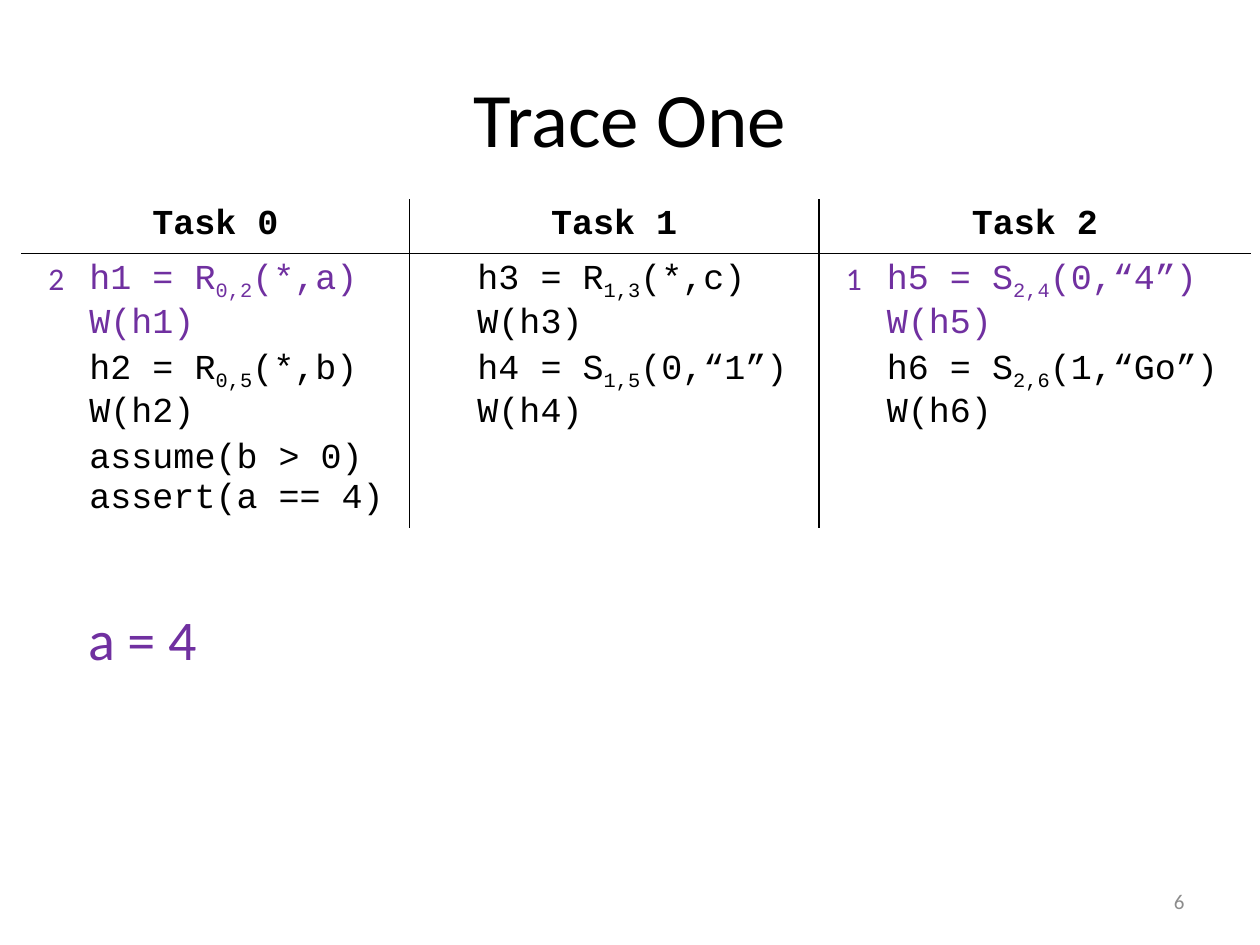
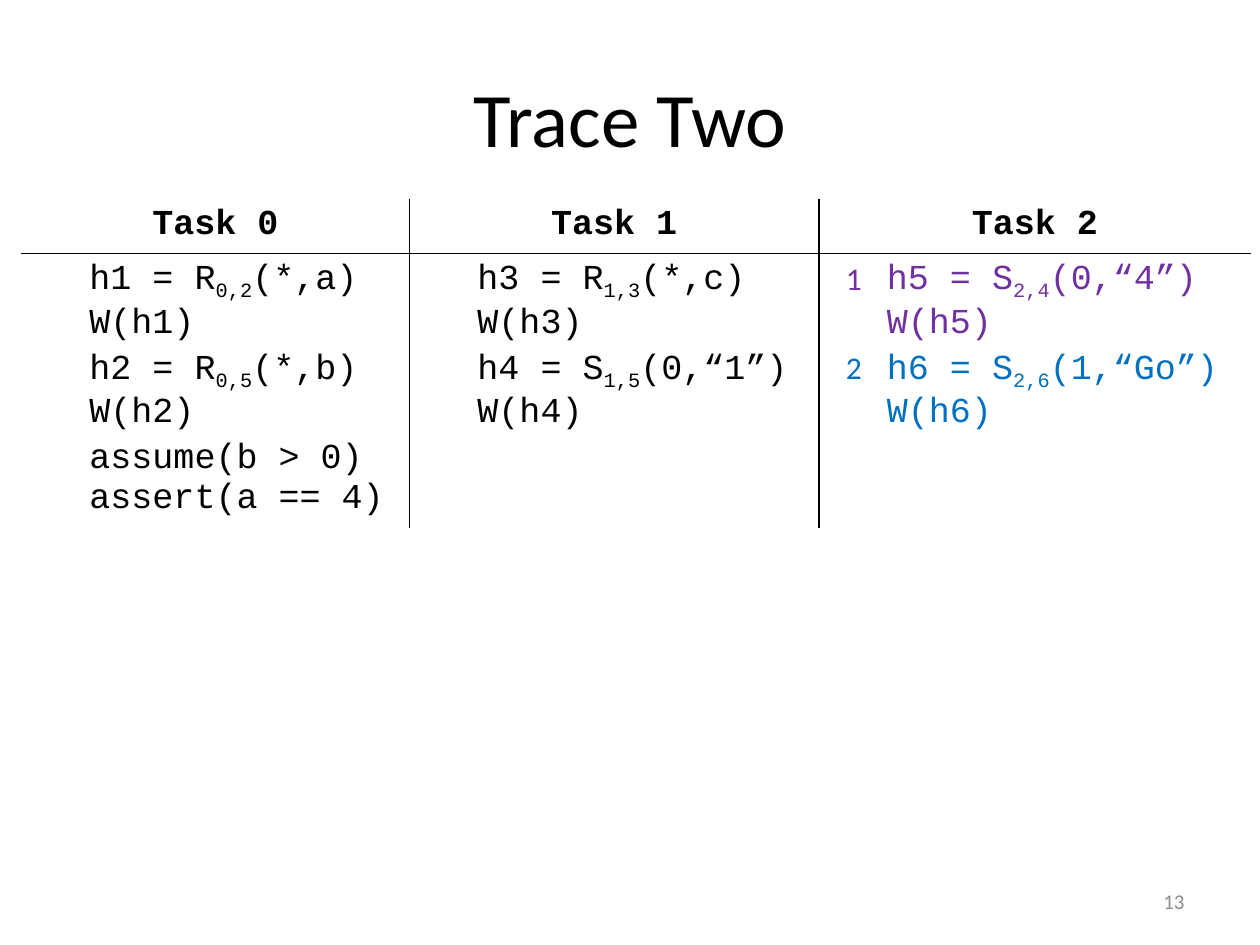
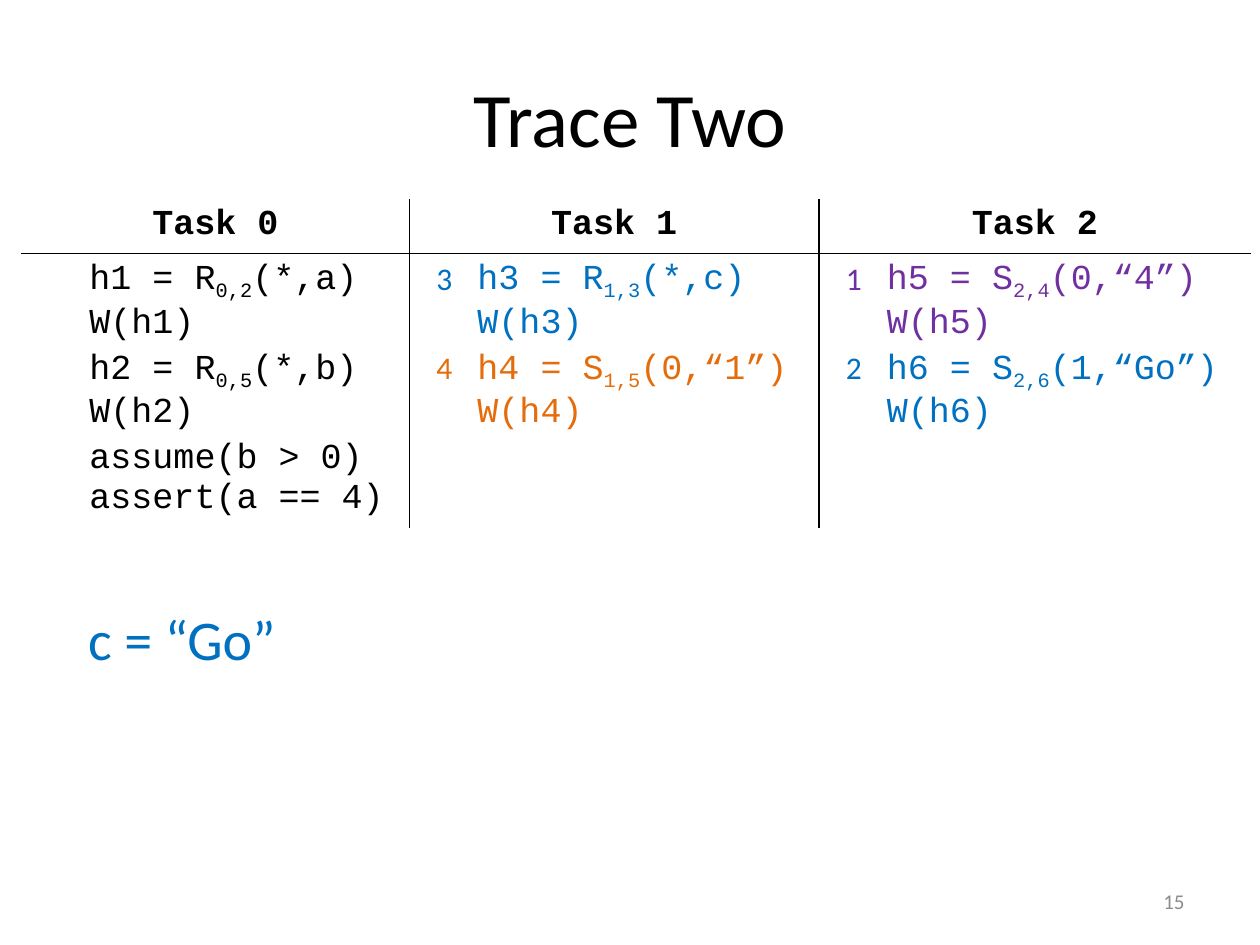
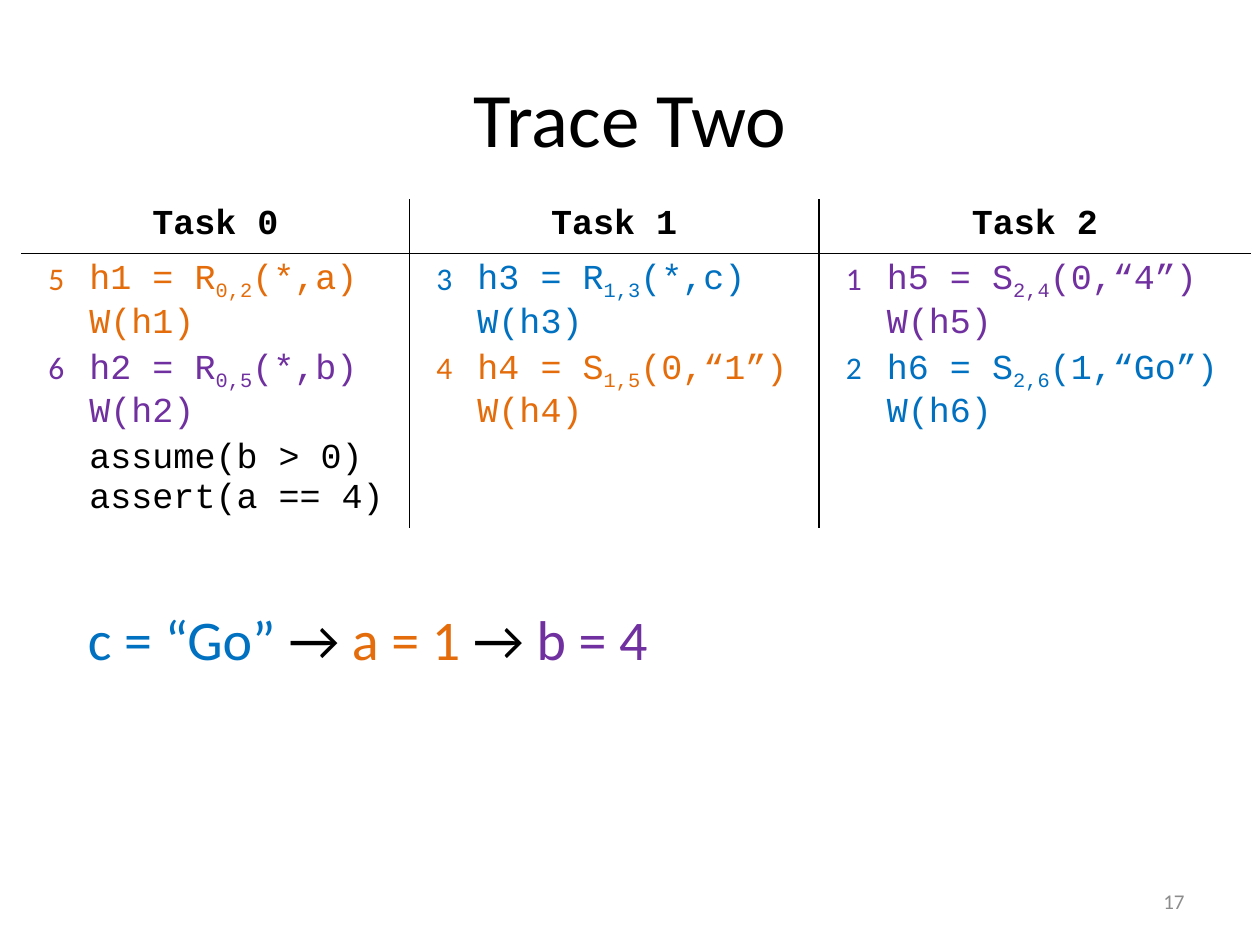
from dataclasses import dataclass

from lxml.etree import SubElement
from pptx import Presentation
from pptx.dml.color import RGBColor
from pptx.enum.text import MSO_ANCHOR, MSO_AUTO_SIZE, PP_ALIGN
from pptx.oxml.ns import qn
from pptx.slide import Slide
from pptx.table import Table, _Cell
from pptx.text.text import TextFrame, _Paragraph
from pptx.util import Inches, Pt


@dataclass(frozen=True)
class Theme:
    ink: str = "000000"
    paper: str = "FFFFFF"
    muted: str = "8C8C8C"
    purple: str = "7030A0"
    blue: str = "0070C0"
    orange: str = "E46C0A"
    body_font: str = "Calibri"
    code_font: str = "Courier New"
    title_size: int = 44
    outcome_size: int = 32
    code_size: int = 20
    step_size: int = 18
    page_size: int = 12
    rule_width: int = 1


THEME = Theme()


@dataclass(frozen=True)
class Call:
    """A send or receive on a handle, followed by the wait on that handle."""
    handle: str
    operation: str
    index: str
    arguments: str


@dataclass(frozen=True)
class Task:
    name: str
    calls: tuple[Call, Call]
    checks: tuple[str, ...] = ()


@dataclass(frozen=True)
class Step:
    handle: str
    color: str


@dataclass(frozen=True)
class Trace:
    title: str
    page: int
    steps: tuple[Step, ...]
    outcome: tuple[tuple[str, str], ...] = ()
    outcome_width: float = 0


TASKS = (
    Task("Task 0", (Call("h1", "R", "0,2", "(*,a)"), Call("h2", "R", "0,5", "(*,b)")),
         ("assume(b > 0)", "assert(a == 4)")),
    Task("Task 1", (Call("h3", "R", "1,3", "(*,c)"), Call("h4", "S", "1,5", "(0,“1”)"))),
    Task("Task 2", (Call("h5", "S", "2,4", "(0,“4”)"), Call("h6", "S", "2,6", "(1,“Go”)"))),
)
STEP_COLUMN = 0.44
CODE_COLUMNS = (2.64, 2.81, 2.99)
ROW_HEIGHTS = (0.29, 0.48, 0.43, 0.7)
TABLE_WIDTH, TABLE_HEIGHT = 9.75, 2.52
NO_STYLE_NO_GRID = "{2D5ABB26-0587-4C30-8999-92F81FD0307C}"

FIRST_SEND = Step("h5", THEME.purple)
TRACE_TWO = (
    FIRST_SEND,
    Step("h6", THEME.blue),
    Step("h3", THEME.blue),
    Step("h4", THEME.orange),
    Step("h1", THEME.orange),
    Step("h2", THEME.purple),
)
ARROW = ("→ ", THEME.ink)
TRACES = (
    Trace("Trace One", 6, (FIRST_SEND, Step("h1", THEME.purple)),
          (("a = 4", THEME.purple),), 1.28),
    Trace("Trace Two", 13, TRACE_TWO[:2]),
    Trace("Trace Two", 15, TRACE_TWO[:4], (("c = “Go”", THEME.blue),), 1.71),
    Trace("Trace Two", 17, TRACE_TWO,
          (("c = “Go” ", THEME.blue), ARROW, ("a = 1 ", THEME.orange), ARROW,
           ("b = 4", THEME.purple)), 4.76),
)


def add_run(paragraph: _Paragraph, text: str, size: int, color: str = THEME.ink,
            font: str = THEME.body_font, bold: bool = False, subscript: bool = False) -> None:
    run = paragraph.add_run()
    run.text = text
    run.font.size = Pt(size)
    run.font.name = font
    run.font.bold = bold
    run.font.color.rgb = RGBColor.from_string(color)
    if subscript:
        run._r.get_or_add_rPr().set("baseline", "-25000")


def add_code(paragraph: _Paragraph, text: str, color: str = THEME.ink,
             bold: bool = False, subscript: bool = False) -> None:
    add_run(paragraph, text, THEME.code_size, color, THEME.code_font, bold, subscript)


def add_text_frame(slide: Slide, left: float, top: float, width: float, height: float) -> TextFrame:
    box = slide.shapes.add_textbox(Inches(left), Inches(top), Inches(width), Inches(height))
    box.text_frame.word_wrap = True
    return box.text_frame


def add_line(slide: Slide, place: tuple[float, float, float, float], text: str,
             size: int, color: str, alignment: PP_ALIGN) -> None:
    """Adds one vertically centred line of text."""
    frame = add_text_frame(slide, *place)
    frame.vertical_anchor = MSO_ANCHOR.MIDDLE
    frame.paragraphs[0].alignment = alignment
    add_run(frame.paragraphs[0], text, size, color)


def add_outcome(slide: Slide, trace: Trace) -> None:
    frame = add_text_frame(slide, 0.6, 4.75, trace.outcome_width, 0.64)
    frame.word_wrap = False
    frame.auto_size = MSO_AUTO_SIZE.SHAPE_TO_FIT_TEXT
    for text, color in trace.outcome:
        add_run(frame.paragraphs[0], text, THEME.outcome_size, color)


def rule_cell(cell: _Cell, ruled_sides: str) -> None:
    """Rules the given sides and leaves the others explicitly bare."""
    properties = cell._tc.get_or_add_tcPr()
    for side in "LRTB":
        line = SubElement(properties, qn(f"a:ln{side}"), w=str(Pt(THEME.rule_width)))
        if side in ruled_sides:
            SubElement(SubElement(line, qn("a:solidFill")), qn("a:srgbClr"), val=THEME.ink)
        else:
            SubElement(line, qn("a:noFill"))


def format_grid(table: Table) -> None:
    """Draws the rule under the header and the rules between tasks."""
    last_column = len(table.columns) - 1
    for row, height in enumerate(ROW_HEIGHTS):
        table.rows[row].height = Inches(height)
        for column in range(len(table.columns)):
            starts_task = column % 2 == 0
            ends_task = not starts_task or row == 0
            task_end = column + 1 if starts_task else column
            sides = "L" if starts_task and column > 0 else ""
            sides += "R" if ends_task and task_end < last_column else ""
            sides += {0: "B", 1: "T"}.get(row, "")
            cell = table.cell(row, column)
            rule_cell(cell, sides)
            cell.fill.solid()
            cell.fill.fore_color.rgb = RGBColor.from_string(THEME.paper)


def open_body_cell(table: Table, row: int, column: int) -> TextFrame:
    cell = table.cell(row, column)
    cell.margin_left = cell.margin_right = Inches(0.1)
    cell.margin_top = Inches(0.05 if row == 1 else 0)
    cell.margin_bottom = Inches(0)
    return cell.text_frame


def write_call(frame: TextFrame, call: Call, color: str) -> None:
    first = frame.paragraphs[0]
    add_code(first, f"{call.handle} = {call.operation}", color)
    add_code(first, call.index, color, subscript=True)
    add_code(first, call.arguments, color)
    add_code(frame.add_paragraph(), f"W({call.handle})", color)


def write_task(table: Table, task: Task, step_column: int, steps: tuple[Step, ...]) -> None:
    code_column = step_column + 1
    header = table.cell(0, step_column)
    header.merge(table.cell(0, code_column))
    name = header.text_frame.paragraphs[0]
    name.alignment = PP_ALIGN.CENTER
    add_code(name, task.name, bold=True)

    numbered = {step.handle: (number, step.color) for number, step in enumerate(steps, 1)}
    for row, call in enumerate(task.calls, 1):
        number, color = numbered.get(call.handle, (None, THEME.ink))
        if number:
            marker = open_body_cell(table, row, step_column).paragraphs[0]
            marker.alignment = PP_ALIGN.RIGHT
            add_run(marker, str(number), THEME.step_size, color)
        write_call(open_body_cell(table, row, code_column), call, color)

    if task.checks:
        frame = open_body_cell(table, len(ROW_HEIGHTS) - 1, code_column)
        for position, check in enumerate(task.checks):
            add_code(frame.add_paragraph() if position else frame.paragraphs[0], check)


def add_task_table(slide: Slide, steps: tuple[Step, ...]) -> None:
    widths = [width for code in CODE_COLUMNS for width in (STEP_COLUMN, code)]
    frame = slide.shapes.add_table(len(ROW_HEIGHTS), len(widths), Inches(0.17), Inches(1.58),
                                   Inches(TABLE_WIDTH), Inches(TABLE_HEIGHT))
    table = frame.table
    table.first_row = table.horz_banding = False
    table._tbl.tblPr.find(qn("a:tableStyleId")).text = NO_STYLE_NO_GRID
    for column, width in zip(table.columns, widths):
        column.width = Inches(width)
    format_grid(table)
    for position, task in enumerate(TASKS):
        write_task(table, task, 2 * position, steps)
    frame.width, frame.height = Inches(TABLE_WIDTH), Inches(TABLE_HEIGHT)


def main() -> None:
    deck = Presentation()
    deck.slide_width, deck.slide_height = Inches(10), Inches(7.5)
    for trace in TRACES:
        slide = deck.slides.add_slide(deck.slide_layouts[6])
        add_line(slide, (0.5, 0.3, 9, 1.25), trace.title, THEME.title_size, THEME.ink,
                 PP_ALIGN.CENTER)
        add_line(slide, (7.17, 6.95, 2.33, 0.4), str(trace.page), THEME.page_size, THEME.muted,
                 PP_ALIGN.RIGHT)
        add_task_table(slide, trace.steps)
        if trace.outcome:
            add_outcome(slide, trace)
    deck.save("out.pptx")


if __name__ == "__main__":
    main()
